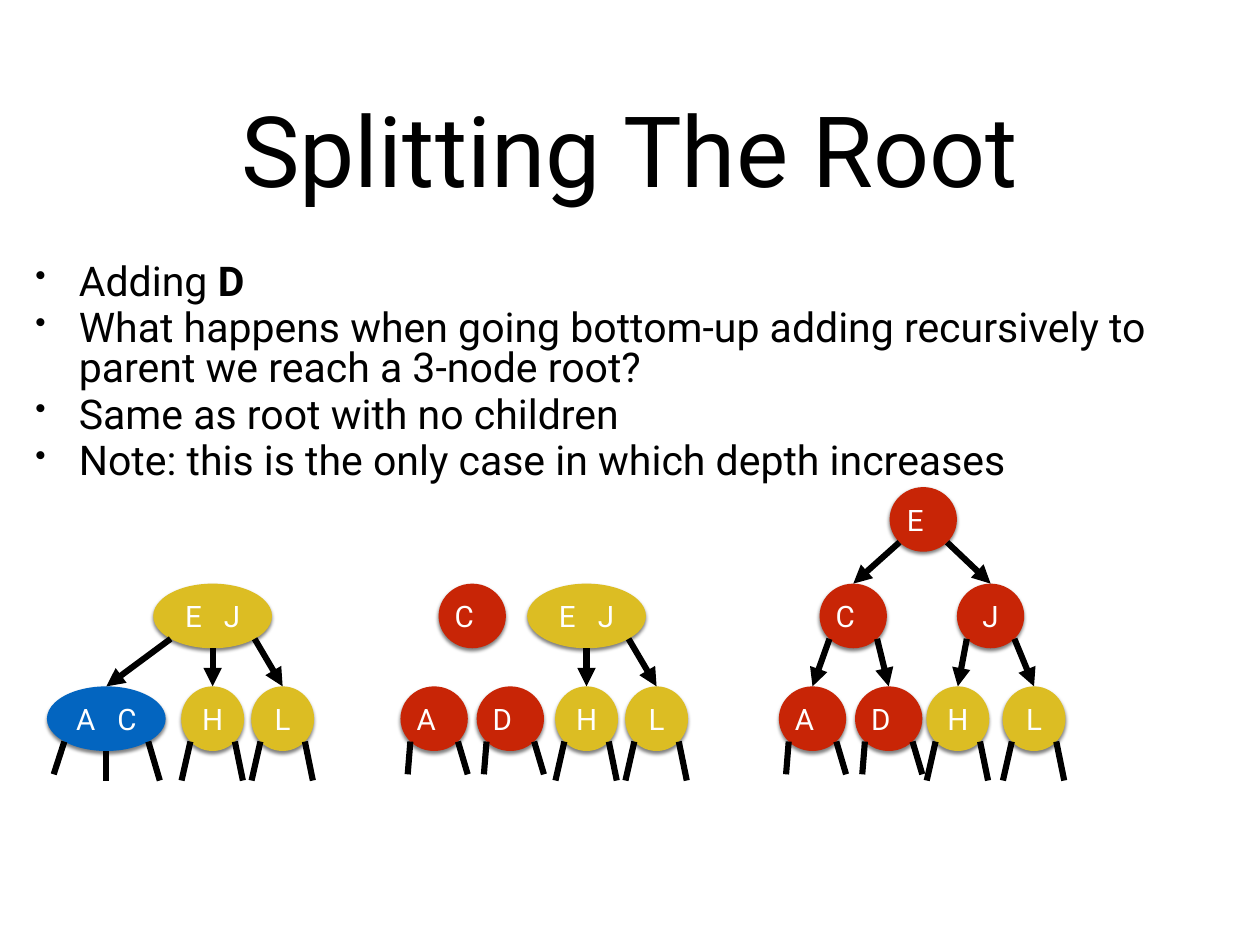
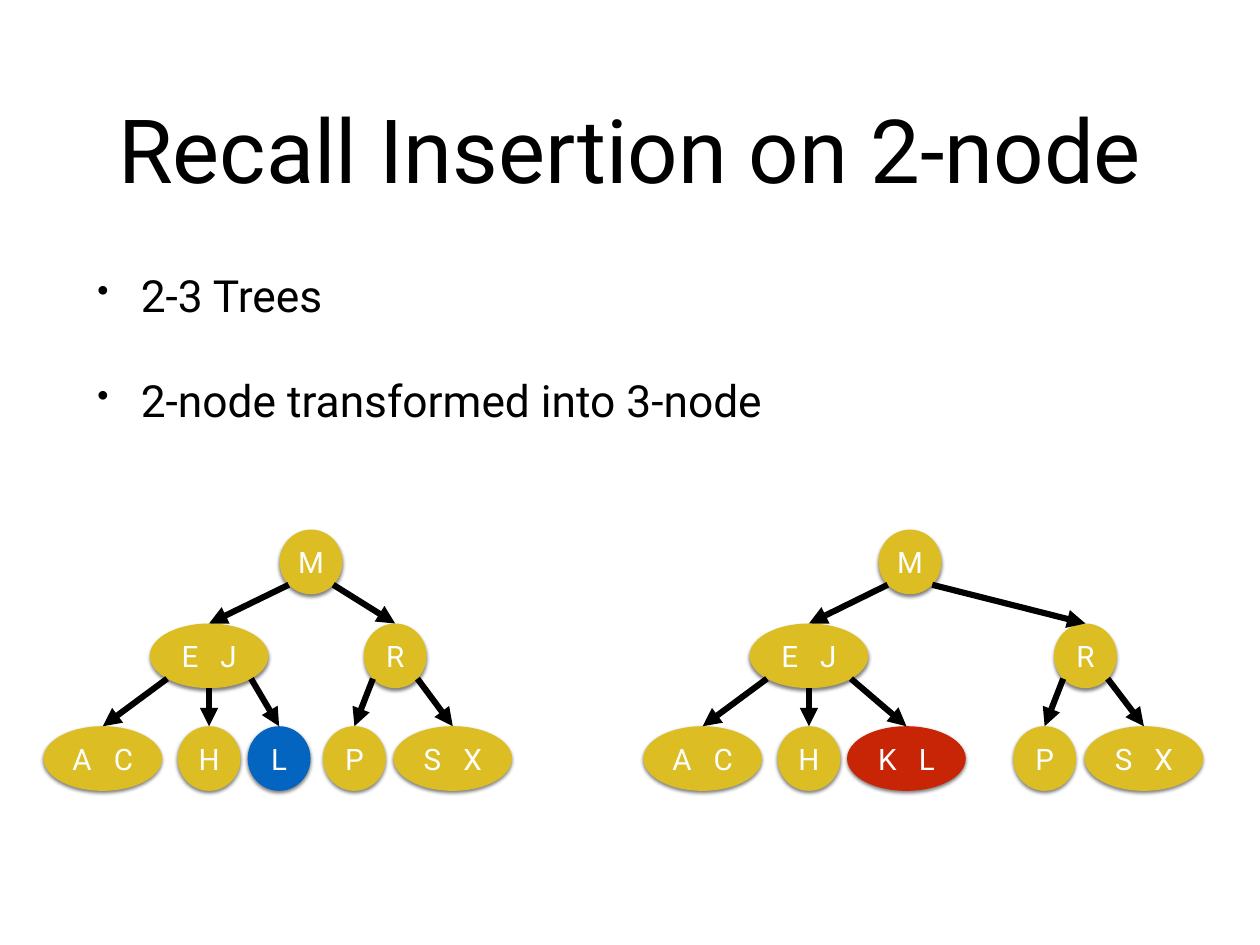
from math import sqrt

from lxml import etree
from pptx import Presentation
from pptx.dml.color import RGBColor
from pptx.enum.shapes import MSO_CONNECTOR, MSO_SHAPE
from pptx.enum.text import MSO_ANCHOR, MSO_AUTO_SIZE, PP_ALIGN
from pptx.oxml.ns import qn
from pptx.util import Pt

ELLIPSE, STRAIGHT = MSO_SHAPE.OVAL, MSO_CONNECTOR.STRAIGHT
MIDDLE, NO_FIT = MSO_ANCHOR.MIDDLE, MSO_AUTO_SIZE.NONE
LEFT, CENTER = PP_ALIGN.LEFT, PP_ALIGN.CENTER

PX = 9144  # 100 px to the inch
SLIDE_SIZE = (1422, 1067)
TITLE_BOX = (104, 49, 1214, 236)
INSET, INDENT, NODE_HEIGHT, PAIR_WIDTH = 6, 49, 73, 134
FONT = "Roboto"
COLORS = {"black": "000000", "white": "FFFFFF", "gold": "DCBD23",
          "blue": "0365C0", "red": "C82506"}

# Node kind: colour, width, extra right inset that moves the letter left
KINDS = {
    "one": ("gold", 71, 0),
    "two": ("gold", PAIR_WIDTH, 0),
    "target one": ("blue", 71, 0),
    "target two": ("blue", PAIR_WIDTH, 0),
    "new one": ("red", 76, 0),
    "new aside": ("red", 76, 18),
    "new two": ("red", PAIR_WIDTH, 0),
}
# Offsets of the open links below a leaf
STUBS = {
    "one": [(-10, 44), (9, 44)],
    "target two": [(-12, 37), (0, 34), (13, 44)],
    "new aside": [(-3, 37), (11, 37)],
}

# Node: label, centre x, kind, children (None keeps a link place free)
SLIDES = [
    {
        "title": "Splitting The Root", "title_size": 80,
        "body_box": (34, 285, 1364, 275), "body_size": 33.3,
        "line_spacing": 0.8, "space_before": 6,
        "bullets": [
            [("Adding ", False), ("D", True)],
            [("What happens when going bottom-up adding recursively to "
              "parent we reach a 3-node root?", False)],
            [("Same as root with no children", False)],
            [("Note: this is the only case in which depth increases", False)],
        ],
        "levels": [550, 659, 775], "open_leaves": True,
        "trees": [  # level of the root, root
            (1, ("E J", 240, "two", [
                ("A C", 120, "target two", []),
                ("H", 240, "one", []),
                ("L", 319, "one", [])])),
            (1, ("E J", 662, "two", [
                None,
                ("H", 662, "one", []),
                ("L", 741, "one", [])])),
            (1, ("C", 533, "new aside", [])),
            (2, ("A", 490, "new aside", [])),
            (2, ("D", 576, "new aside", [])),
            (0, ("E", 1042, "new aside", [
                ("C", 963, "new aside", [
                    ("A", 917, "new aside", []),
                    ("D", 1003, "new aside", [])]),
                ("J", 1118, "new one", [
                    ("H", 1081, "one", []),
                    ("L", 1167, "one", [])])])),
        ],
    },
    {
        "title": "Recall Insertion on 2-node", "title_size": 72,
        "body_box": (104, 285, 1214, 214), "body_size": 36,
        "line_spacing": 1.0, "space_before": 42,
        "bullets": [
            [("2-3 Trees", False)],
            [("2-node transformed into 3-node", False)],
        ],
        "levels": [598, 704, 820], "open_leaves": False,
        "trees": [
            (0, ("M", 351, "one", [
                ("E J", 236, "two", [
                    ("A C", 116, "two", []),
                    ("H", 236, "one", []),
                    ("L", 315, "target one", [])]),
                ("R", 446, "one", [
                    ("P", 400, "one", []),
                    ("S X", 511, "two", [])])])),
            (0, ("M", 1027, "one", [
                ("E J", 913, "two", [
                    ("A C", 793, "two", []),
                    ("H", 913, "one", []),
                    ("K L", 1023, "new two", [])]),
                ("R", 1225, "one", [
                    ("P", 1179, "one", []),
                    ("S X", 1291, "two", [])])])),
        ],
    },
]


def emu(*lengths):
    return [round(length * PX) for length in lengths]


def rgb(name):
    return RGBColor.from_string(COLORS[name])


def set_frame(frame, extra_right=0):
    frame.word_wrap = True
    frame.auto_size = NO_FIT
    frame.vertical_anchor = MIDDLE
    left = 0 if extra_right else INSET
    right = extra_right or INSET
    (frame.margin_left, frame.margin_top,
     frame.margin_right, frame.margin_bottom) = emu(left, INSET, right, INSET)


def add_span(para, text, size, color="black", bold=False):
    span = para.add_run()
    span.text = text
    font = span.font
    font.name, font.size, font.bold = FONT, Pt(size), bold
    font.color.rgb = rgb(color)
    return span


def add_title(page, text, size):
    title = page.shapes.title
    title.left, title.top, title.width, title.height = emu(*TITLE_BOX)
    set_frame(title.text_frame)
    para = title.text_frame.paragraphs[0]
    para.alignment = CENTER
    add_span(para, text, size)


def add_bullets(page, content):
    box = page.shapes.add_textbox(*emu(*content["body_box"]))
    frame = box.text_frame
    set_frame(frame)
    for index, spans in enumerate(content["bullets"]):
        para = frame.add_paragraph() if index else frame.paragraphs[0]
        props = para._p.get_or_add_pPr()
        props.set("marL", str(INDENT * PX))
        props.set("indent", str(-INDENT * PX))
        etree.SubElement(props, qn("a:buSzPct"), val="75000")
        etree.SubElement(props, qn("a:buChar"), char="•")
        para.alignment = LEFT
        para.line_spacing = content["line_spacing"]
        if index:
            para.space_before = Pt(content["space_before"])
        for text, bold in spans:
            add_span(para, text, content["body_size"], bold=bold)


def add_shadow(shape):
    shape.shadow.inherit = False
    effects = shape._element.spPr.find(qn("a:effectLst"))
    shadow = etree.SubElement(effects, qn("a:outerShdw"), blurRad=str(Pt(3)),
                              dist=str(Pt(2)), dir="5400000", rotWithShape="0")
    color = etree.SubElement(shadow, qn("a:srgbClr"), val=COLORS["black"])
    etree.SubElement(color, qn("a:alpha"), val="50000")


def add_node(page, label, center, top, kind):
    color, width, extra_right = KINDS[kind]
    node = page.shapes.add_shape(
        ELLIPSE, *emu(center - width / 2, top, width, NODE_HEIGHT))
    node.fill.solid()
    node.fill.fore_color.rgb = rgb(color)
    node.line.fill.background()
    add_shadow(node)
    set_frame(node.text_frame, extra_right)
    para = node.text_frame.paragraphs[0]
    para.alignment = CENTER
    for letter in label:
        span = add_span(para, letter, 24, "white")
        if letter == " ":  # widen the gap between the two keys
            span._r.get_or_add_rPr().set("spc", "1200")


def add_link(page, start, end, arrow):
    link = page.shapes.add_connector(STRAIGHT, *emu(*start, *end))
    link.line.color.rgb = rgb("black")
    link.line.width = Pt(5)
    props = link._element.spPr
    if arrow:
        etree.SubElement(props.find(qn("a:ln")), qn("a:tailEnd"),
                         type="triangle")
    etree.SubElement(props, qn("a:effectLst"))


def link_starts(center, top, width, count):
    """Points on the lower edge of a node, from left to right."""
    middle = top + NODE_HEIGHT / 2
    across, down = width / sqrt(8), NODE_HEIGHT / sqrt(8)
    left = (center - across, middle + down)
    right = (center + across, middle + down)
    bottom = (center, top + NODE_HEIGHT)
    return [left, bottom, right] if count == 3 else [left, right]


def add_tree(page, node, levels, open_leaves):
    label, center, kind, children = node
    top, width = levels[0], KINDS[kind][1]
    add_node(page, label, center, top, kind)
    for start, child in zip(link_starts(center, top, width, len(children)),
                            children):
        if child:
            add_tree(page, child, levels[1:], open_leaves)
            add_link(page, start, (child[1], levels[1]), arrow=True)
    if open_leaves and len(levels) == 1:
        stubs = STUBS[kind]
        for (x, y), (dx, dy) in zip(
                link_starts(center, top, width, len(stubs)), stubs):
            add_link(page, (x, y), (x + dx, y + dy), arrow=False)


def main():
    deck = Presentation()
    deck.slide_width, deck.slide_height = emu(*SLIDE_SIZE)
    for content in SLIDES:
        page = deck.slides.add_slide(deck.slide_layouts[5])
        add_title(page, content["title"], content["title_size"])
        add_bullets(page, content)
        for level, root in content["trees"]:
            add_tree(page, root, content["levels"][level:],
                     content["open_leaves"])
    deck.save("out.pptx")


if __name__ == "__main__":
    main()
